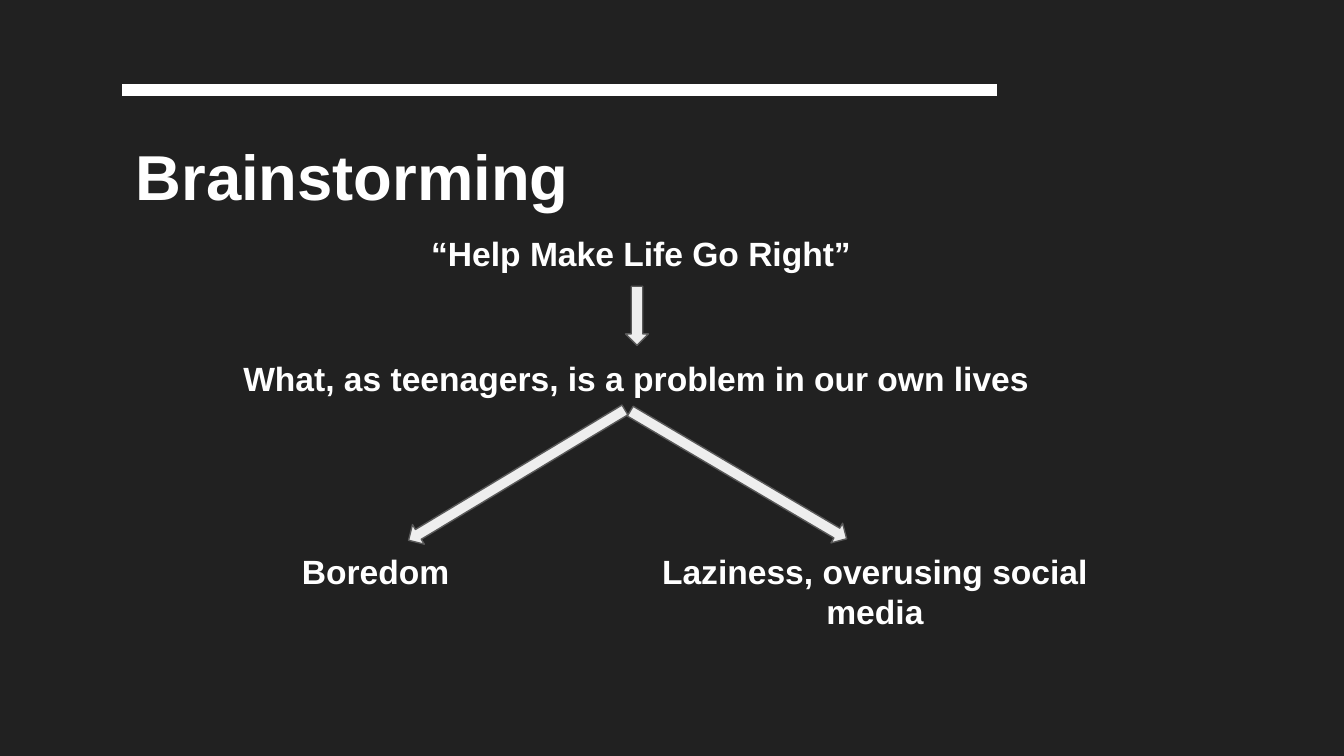
from math import atan2, degrees, hypot

from lxml.etree import SubElement
from pptx import Presentation
from pptx.dml.color import RGBColor
from pptx.enum.shapes import MSO_CONNECTOR, MSO_SHAPE
from pptx.enum.text import MSO_ANCHOR, MSO_AUTO_SIZE, PP_ALIGN as Align
from pptx.oxml.ns import qn
from pptx.util import Inches, Pt

COLORS = {"background": "212121", "text": "FFFFFF", "arrow": "EEEEEE", "edge": "595959"}
FONT = "Arial"
ARROW_WIDTH = 0.17


def color(name):
    return RGBColor.from_string(COLORS[name])


def write(box, text, size=18, align=Align.CENTER, line_spacing=None, space_after=None):
    """Fill a text box or placeholder with one bold paragraph."""
    frame = box.text_frame
    frame.word_wrap = True
    frame.auto_size = MSO_AUTO_SIZE.NONE
    frame.vertical_anchor = MSO_ANCHOR.TOP
    frame.margin_left = frame.margin_right = Inches(0.1)
    frame.margin_top = frame.margin_bottom = Inches(0.1)
    para = frame.paragraphs[0]
    para.alignment = align
    if line_spacing:
        para.line_spacing = line_spacing
    if space_after:
        para.space_after = Pt(space_after)
    span = para.add_run()
    span.text = text
    span.font.name = FONT
    span.font.size = Pt(size)
    span.font.bold = True
    span.font.color.rgb = color("text")


def add_label(slide, text, left, top, width, height, **style):
    box = slide.shapes.add_textbox(*map(Inches, (left, top, width, height)))
    write(box, text, **style)


def add_arrow(slide, start, end):
    """Draw a block arrow whose axis runs from start to end."""
    (x1, y1), (x2, y2) = start, end
    length = hypot(x2 - x1, y2 - y1)
    left = (x1 + x2 - length) / 2
    top = (y1 + y2 - ARROW_WIDTH) / 2
    arrow = slide.shapes.add_shape(
        MSO_SHAPE.RIGHT_ARROW, *map(Inches, (left, top, length, ARROW_WIDTH)))
    arrow.rotation = degrees(atan2(y2 - y1, x2 - x1))
    arrow.shadow.inherit = False
    arrow.fill.solid()
    arrow.fill.fore_color.rgb = color("arrow")
    arrow.line.color.rgb = color("edge")
    arrow.line.width = Pt(0.75)


def add_heading(slide, left, top, width, height):
    """Place the rule at the top of the box and the title below it."""
    rule = slide.shapes.add_connector(
        MSO_CONNECTOR.STRAIGHT, Inches(left), Inches(top), Inches(left + width), Inches(top))
    rule.line.color.rgb = color("text")
    rule.line.width = Pt(6)
    SubElement(rule.element.spPr, qn("a:effectLst"))

    title = slide.shapes.title
    title.left, title.top = Inches(left), Inches(top + 0.25)
    title.width, title.height = Inches(width - 0.16), Inches(height - 0.25)
    write(title, "Brainstorming", size=34, align=Align.LEFT)


def add_idea_tree(slide, left, top):
    """Lead from the theme to the question and on to its two answers."""
    add_label(slide, "“Help Make Life Go Right”", left + 2.2, top, 3.38, 0.58,
              align=Align.LEFT, line_spacing=1.15, space_after=16)
    add_label(slide, "What, as teenagers, is a problem in our own lives",
              left + 0.71, top + 0.97, 6.23, 0.44)
    add_label(slide, "Boredom", left, top + 2.41, 3.77, 0.58)
    add_label(slide, "Laziness, overusing social media", left + 3.91, top + 2.41, 3.38, 0.9)

    for (x1, y1), (x2, y2) in (
        ((3.83, 0.54), (3.83, 0.98)),
        ((3.74, 1.46), (2.13, 2.43)),
        ((3.78, 1.47), (5.39, 2.42)),
    ):
        add_arrow(slide, (left + x1, top + y1), (left + x2, top + y2))


def main():
    deck = Presentation()
    deck.slide_width = Inches(10)
    deck.slide_height = deck.slide_width * 9 // 16
    page = deck.slides.add_slide(deck.slide_layouts[5])
    page.background.fill.solid()
    page.background.fill.fore_color.rgb = color("background")
    add_heading(page, 0.91, 0.67, 6.51, 1.15)
    add_idea_tree(page, 0.91, 1.59)
    deck.save("out.pptx")


if __name__ == "__main__":
    main()
